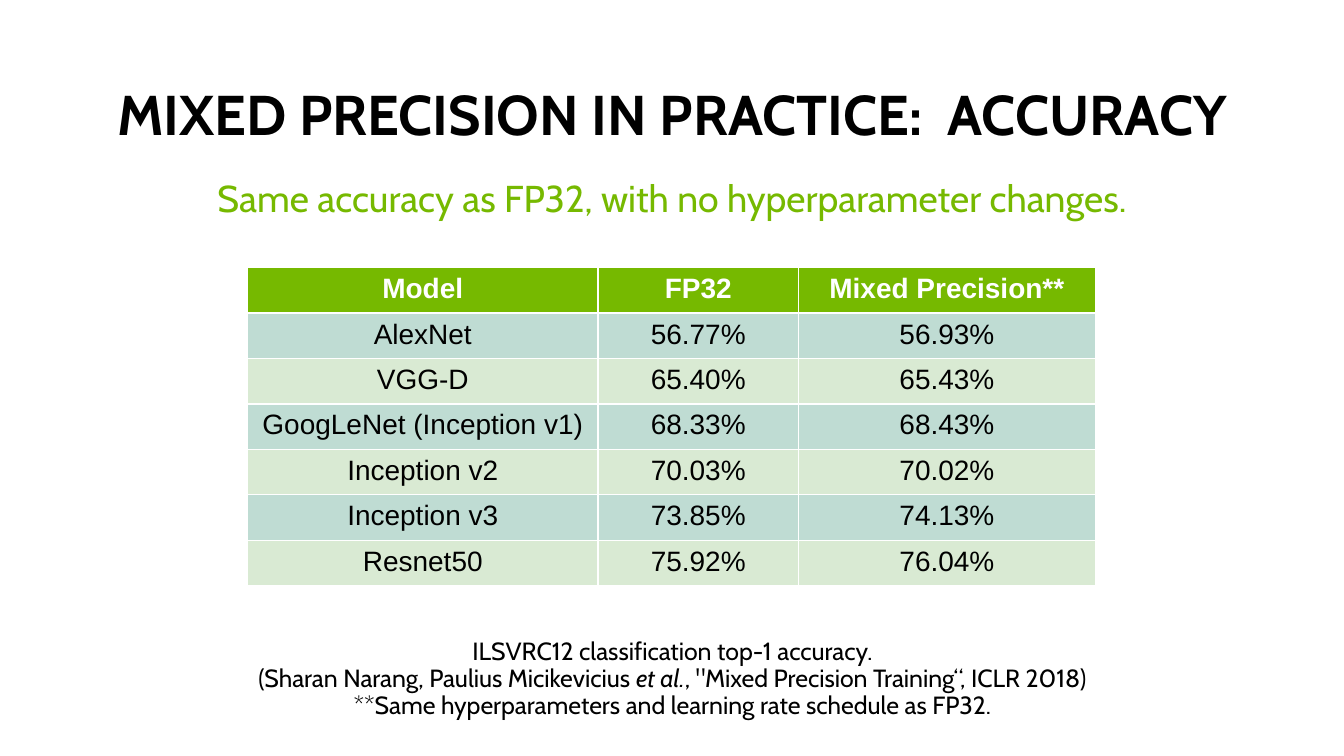
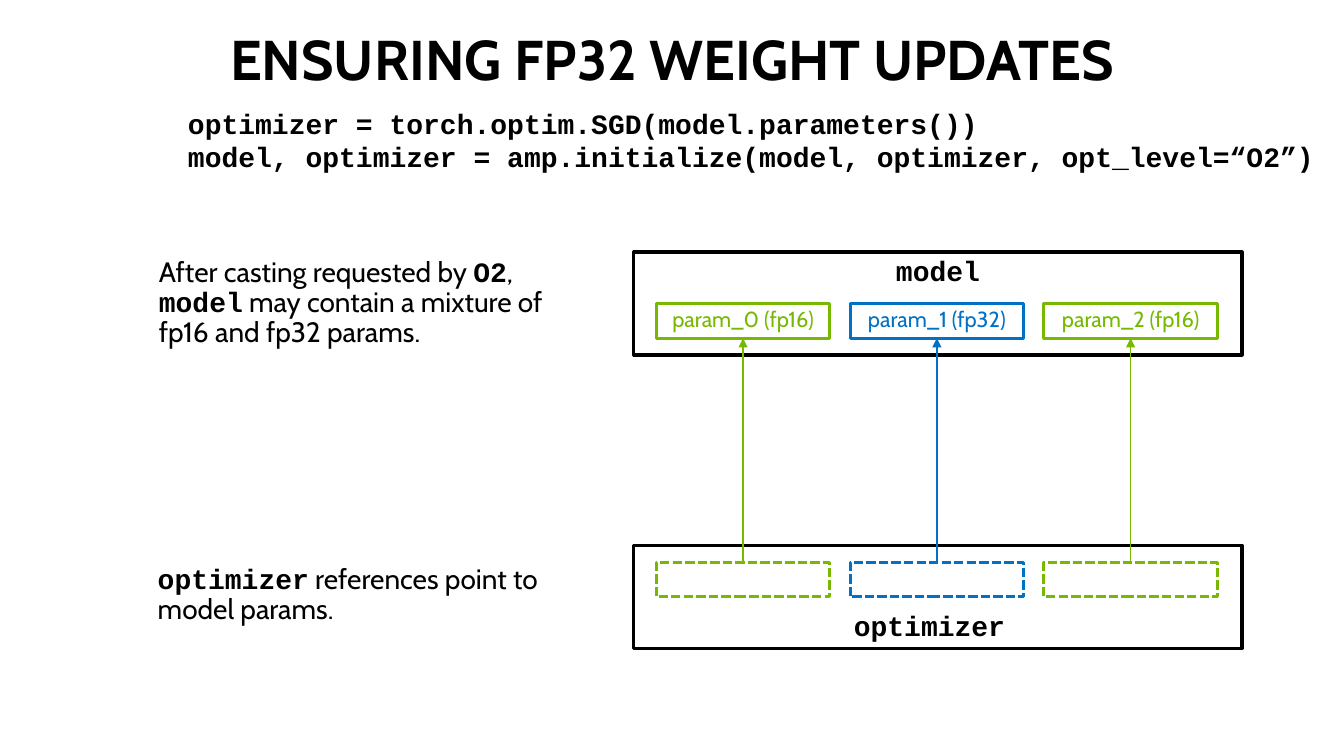
from lxml.etree import SubElement
from pptx import Presentation
from pptx.dml.color import RGBColor
from pptx.enum.dml import MSO_LINE
from pptx.enum.shapes import MSO_CONNECTOR, MSO_SHAPE
from pptx.enum.text import MSO_ANCHOR, MSO_AUTO_SIZE, PP_ALIGN
from pptx.oxml.ns import qn
from pptx.util import Inches, Pt

BLACK, WHITE, GREEN, BLUE = "000000", "FFFFFF", "76B900", "0071C5"
TEAL, PALE_GREEN = "007450", "D9EAD3"
BODY, CODE, TABLE = "Cabin", "Courier New", "Arial"
MONO = dict(font=CODE, bold=True)
TITLE_ONLY = 5

PARAM_W, PARAM_H, PARAM_STEP = 1.55, 0.31, 1.73
PARAM_INSET = 0.2
PARAMS = [("param_0 (fp16)", GREEN), ("param_1 (fp32)", BLUE), ("param_2 (fp16)", GREEN)]

ACCURACY = [
    ("Model", "FP32", "Mixed Precision**"),
    ("AlexNet", "56.77%", "56.93%"),
    ("VGG-D", "65.40%", "65.43%"),
    ("GoogLeNet (Inception v1)", "68.33%", "68.43%"),
    ("Inception v2", "70.03%", "70.02%"),
    ("Inception v3", "73.85%", "74.13%"),
    ("Resnet50", "75.92%", "76.04%"),
]


def rgb(color):
    return RGBColor.from_string(color)


def emu(box):
    return [Inches(v) for v in box]


def format_run(r, size=18, color=BLACK, font=BODY, bold=False, italic=False):
    r.font.size, r.font.name = Pt(size), font
    r.font.bold, r.font.italic = bold, italic
    r.font.color.rgb = rgb(color)


def write(tf, *paragraphs, align=PP_ALIGN.LEFT, spacing=0.9,
          anchor=MSO_ANCHOR.MIDDLE, **style):
    """Write paragraphs; each is a string or a list of strings and (string, style) runs."""
    tf.word_wrap, tf.auto_size = True, MSO_AUTO_SIZE.NONE
    tf.vertical_anchor = anchor
    for i, parts in enumerate(paragraphs):
        p = tf.add_paragraph() if i else tf.paragraphs[0]
        p.alignment, p.line_spacing = align, spacing
        for part in [parts] if isinstance(parts, str) else parts:
            text, extra = (part, {}) if isinstance(part, str) else part
            r = p.add_run()
            r.text = text
            format_run(r, **{**style, **extra})


def add_text(s, box, *paragraphs, **style):
    tf = s.shapes.add_textbox(*emu(box)).text_frame
    write(tf, *paragraphs, **style)
    return tf


def add_titled_slide(prs, title, box):
    s = prs.slides.add_slide(prs.slide_layouts[TITLE_ONLY])
    sp = s.shapes.title
    sp.left, sp.top, sp.width, sp.height = emu(box)
    write(sp.text_frame, title, size=36, bold=True,
          align=PP_ALIGN.CENTER, anchor=MSO_ANCHOR.BOTTOM)
    return s


def add_outline(s, box, color, dashed=False):
    sp = s.shapes.add_shape(MSO_SHAPE.RECTANGLE, *emu(box))
    sp.shadow.inherit = False
    sp.fill.background()
    sp.line.color.rgb, sp.line.width = rgb(color), Pt(2)
    if dashed:
        sp.line.dash_style = MSO_LINE.SQUARE_DOT
    return sp


def add_arrow(s, x, y_from, y_to, color):
    cx = s.shapes.add_connector(MSO_CONNECTOR.STRAIGHT, *emu((x, y_from, x, y_to)))
    cx.line.color.rgb, cx.line.width = rgb(color), Pt(1)
    SubElement(cx.line._get_or_add_ln(), qn("a:tailEnd"), type="triangle")
    SubElement(cx._element.spPr, qn("a:effectLst"))


def add_accuracy_table(s, box, col_widths):
    table = s.shapes.add_table(len(ACCURACY), len(col_widths), *emu(box)).table
    for col, width in zip(table.columns, col_widths):
        col.width = Inches(width)
    for i, row in enumerate(ACCURACY):
        header, banded = i == 0, i % 2 == 1
        for j, text in enumerate(row):
            cell = table.cell(i, j)
            cell.fill.solid()
            cell.fill.fore_color.rgb = rgb(GREEN if header else TEAL if banded else PALE_GREEN)
            if banded:
                fill_color = cell._tc.tcPr.find(".//" + qn("a:srgbClr"))
                SubElement(fill_color, qn("a:alpha"), val="25000")
            p = cell.text_frame.paragraphs[0]
            p.alignment = PP_ALIGN.CENTER
            r = p.add_run()
            r.text = text
            format_run(r, font=TABLE, bold=header, color=WHITE if header else BLACK)


def add_panel(s, box, label, anchor, params_top, dashed=False):
    """Draw a labelled frame holding the row of parameter boxes."""
    left, top = box[:2]
    panel = add_outline(s, box, BLACK)
    write(panel.text_frame, label, align=PP_ALIGN.CENTER, anchor=anchor, **MONO)
    for i, (name, color) in enumerate(PARAMS):
        x = left + PARAM_INSET + i * PARAM_STEP
        sp = add_outline(s, (x, top + params_top, PARAM_W, PARAM_H), color, dashed)
        if not dashed:
            write(sp.text_frame, name, size=14, color=color, align=PP_ALIGN.CENTER)
    return panel


def add_reference_diagram(s, left, top):
    width, height = 5.43, 0.92
    model_params, optimizer_top, optimizer_params = 0.46, 2.62, 0.15
    add_panel(s, (left, top, width, height), "model", MSO_ANCHOR.TOP, model_params)
    optimizer = add_panel(s, (left, top + optimizer_top, width, height), "optimizer",
                          MSO_ANCHOR.BOTTOM, optimizer_params, dashed=True)
    optimizer.text_frame.margin_right = Inches(0.25)
    for i, (_, color) in enumerate(PARAMS):
        x = left + PARAM_INSET + i * PARAM_STEP + PARAM_W / 2
        add_arrow(s, x, top + optimizer_top + optimizer_params,
                  top + model_params + PARAM_H, color)


def build_accuracy_slide(prs):
    s = add_titled_slide(prs, "MIXED PRECISION IN PRACTICE:  ACCURACY",
                         (0.38, 0.72, 11.24, 0.65))
    add_text(s, (0.8, 1.56, 10.4, 0.57),
             "Same accuracy as FP32, with no hyperparameter changes.",
             size=24, color=GREEN, align=PP_ALIGN.CENTER, anchor=MSO_ANCHOR.TOP)
    add_accuracy_table(s, (2.21, 2.39, 7.57, 2.84), (3.13, 1.79, 2.65))
    note = add_text(
        s, (1.78, 5.4, 8.45, 1.25),
        "ILSVRC12 classification top-1 accuracy.",
        ["(Sharan Narang, Paulius Micikevicius ", ("et al.", dict(italic=True)),
         ", \"Mixed Precision Training“, ICLR 2018)"],
        "**Same hyperparameters and learning rate schedule as FP32.",
        size=16, align=PP_ALIGN.CENTER)
    note.margin_top = Inches(0.13)


def build_weight_updates_slide(prs):
    s = add_titled_slide(prs, "ENSURING FP32 WEIGHT UPDATES", (1.63, 0.08, 8.74, 0.8))
    add_text(s, (1.58, 0.9, 10.42, 0.71),
             "optimizer = torch.optim.SGD(model.parameters())",
             "model, optimizer = amp.initialize(model, optimizer, opt_level=“O2”)",
             spacing=1.0, anchor=MSO_ANCHOR.TOP, **MONO)
    add_reference_diagram(s, 5.66, 2.25)
    add_text(s, (1.32, 2.25, 3.98, 0.92),
             ["After casting requested by ", ("O2", MONO), ","],
             [("model", MONO), " may contain a mixture of fp16 and fp32 params."])
    add_text(s, (1.31, 4.99, 3.68, 0.65),
             [("optimizer", MONO), " references point to model params."])


def main():
    prs = Presentation()
    prs.slide_width, prs.slide_height = Inches(12), Inches(6.75)
    build_accuracy_slide(prs)
    build_weight_updates_slide(prs)
    prs.save("out.pptx")


if __name__ == "__main__":
    main()
